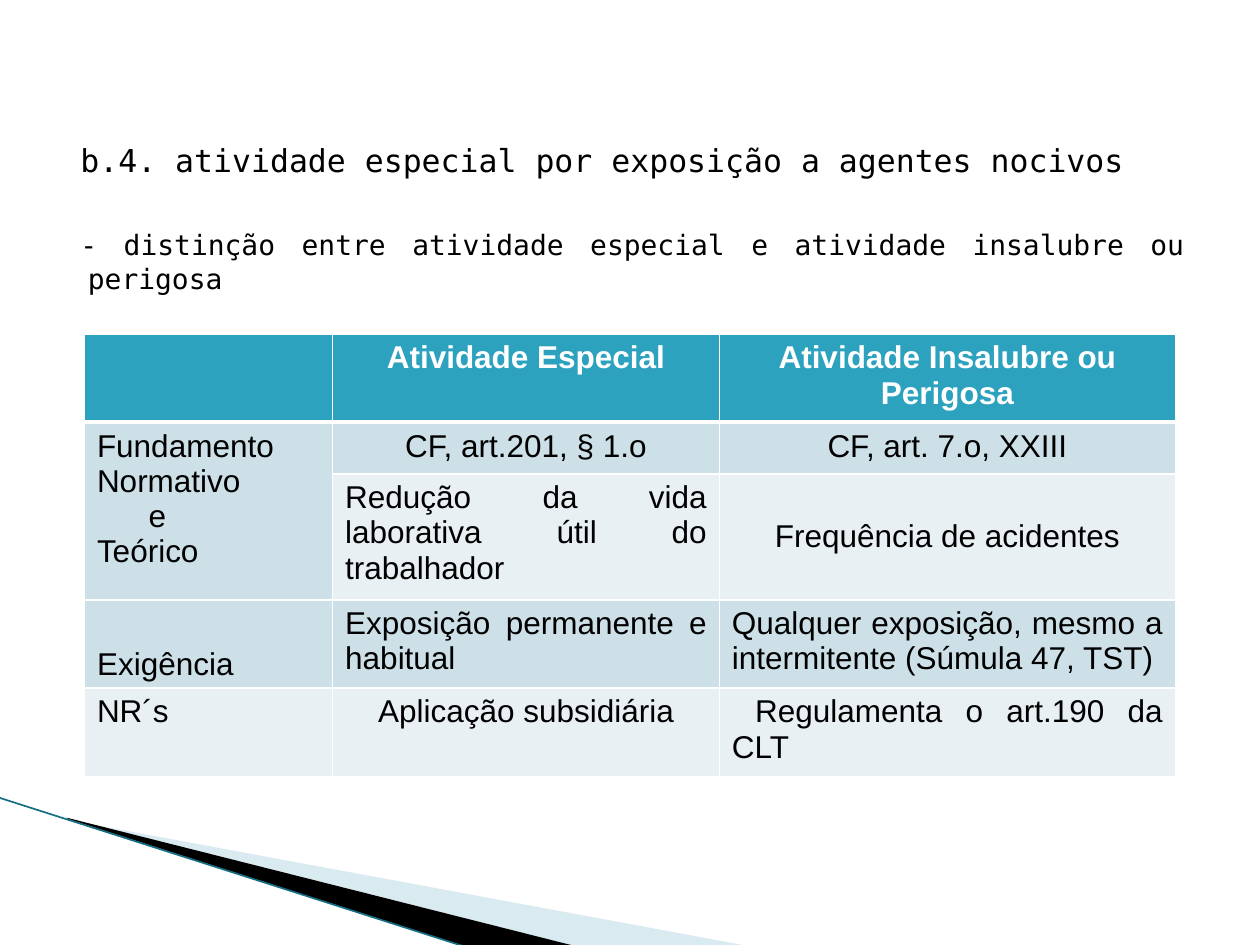
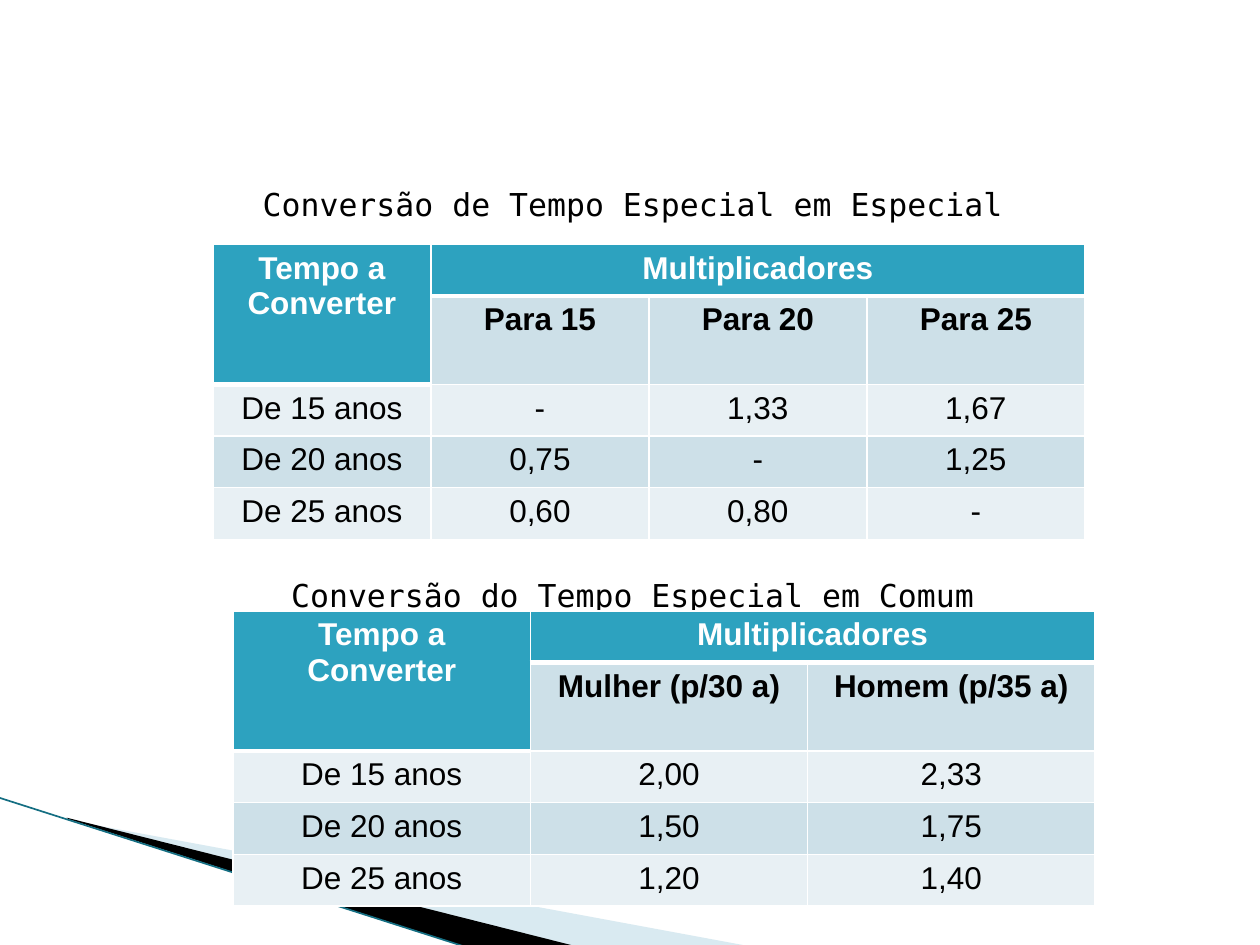
import lxml.etree
import pptx
import pptx.dml.color
import pptx.enum.shapes
import pptx.enum.text
import pptx.oxml.ns
import pptx.util

Inches = pptx.util.Inches
Pt = pptx.util.Pt
Align = pptx.enum.text.PP_ALIGN
Anchor = pptx.enum.text.MSO_ANCHOR
qn = pptx.oxml.ns.qn

COLORS = {
    "text": "000000",
    "white": "FFFFFF",
    "header": "2DA2BF",
    "band_dark": "CDE0E8",
    "band_light": "E8F0F4",
    "wedge_pale": "A0CBDC",
    "wedge_black": "000000",
    "edge": "146E82",
}
HEADING_FONT = "DejaVu Sans Mono"
TABLE_FONT = "Arial"
LINE_HEIGHT = 0.41
TALL_ROW = 0.66


def rgb(name):
    return pptx.dml.color.RGBColor.from_string(COLORS[name])


def style_runs(para, font, size, color, bold=False):
    for span in para.runs:
        span.font.name = font
        span.font.size = Pt(size)
        span.font.bold = bold
        span.font.color.rgb = rgb(color)


def add_wedge(page, points, color, opacity=100):
    builder = page.shapes.build_freeform(
        Inches(points[0][0]), Inches(points[0][1]))
    builder.add_line_segments([(Inches(x), Inches(y)) for x, y in points[1:]])
    wedge = builder.convert_to_shape()
    wedge.shadow.inherit = False
    wedge.line.fill.background()
    wedge.fill.solid()
    wedge.fill.fore_color.rgb = rgb(color)
    if opacity < 100:
        tint = wedge.fill._xPr.find(".//" + qn("a:srgbClr"))
        lxml.etree.SubElement(tint, qn("a:alpha"), val=str(opacity * 1000))


def add_corner_band(page):
    """Draw the wedges and edge line shared by every slide."""
    add_wedge(page, [(0.55, 6.51), (5.95, 7.51), (4.56, 7.51), (0.55, 6.5)],
              "wedge_pale", opacity=40)
    add_wedge(page, [(0.53, 6.49), (4.57, 7.51), (3.72, 7.52), (0.54, 6.5)],
              "wedge_black")
    edge = page.shapes.add_connector(
        pptx.enum.shapes.MSO_CONNECTOR.STRAIGHT,
        Inches(-0.01), Inches(6.33), Inches(3.71), Inches(7.52))
    edge.line.color.rgb = rgb("edge")
    edge.line.width = Pt(0.95)
    lxml.etree.SubElement(edge._element.spPr, qn("a:effectLst"))


def add_heading(page, top, lines, align):
    """Add one text box; lines holds (text, size, space before)."""
    box = page.shapes.add_textbox(
        Inches(0.5), Inches(top), Inches(9), Inches(0.43 * len(lines)))
    frame = box.text_frame
    frame.word_wrap = True
    frame.text = "\n".join(text for text, _, _ in lines)
    for para, (_, size, space) in zip(frame.paragraphs, lines):
        para.alignment = align
        para.space_before = Pt(space)
        set_indent(para, 0.1, -0.06)
        style_runs(para, HEADING_FONT, size, "text")


def set_indent(para, margin, first_line=0):
    properties = para._p.get_or_add_pPr()
    properties.set("marL", str(Inches(margin)))
    properties.set("indent", str(Inches(first_line)))


def set_borders(cell, top, bottom):
    properties = cell._tc.get_or_add_tcPr()
    widths = {"L": 1, "R": 1, "T": top, "B": bottom}
    for position, (side, width) in enumerate(widths.items()):
        border = lxml.etree.Element(qn("a:ln" + side), w=str(Pt(width)))
        fill = lxml.etree.SubElement(border, qn("a:solidFill"))
        lxml.etree.SubElement(fill, qn("a:srgbClr"), val=COLORS["white"])
        properties.insert(position, border)


def add_table(page, left, top, widths, heights, rows, merges, bold_rows=1):
    """Add a banded table; a first column merged from row 0 is all header."""
    table = page.shapes.add_table(
        len(rows), len(widths), Inches(left), Inches(top),
        Inches(sum(widths)), Inches(sum(heights))).table
    table.first_row = table.horz_banding = False
    for column, width in zip(table.columns, widths):
        column.width = Inches(width)
    for row, height in zip(table.rows, heights):
        row.height = Inches(height)

    label_rows = 1 + max(
        (end[0] for start, end in merges if start == (0, 0)), default=0)
    for r, texts in enumerate(rows):
        for c, text in enumerate(texts):
            header_rows = label_rows if c == 0 else 1
            is_header = r < header_rows
            cell = table.cell(r, c)
            cell.text = text
            cell.fill.solid()
            band = "band_dark" if r % 2 else "band_light"
            cell.fill.fore_color.rgb = rgb("header" if is_header else band)
            set_borders(cell, top=3 if r == header_rows else 1,
                        bottom=3 if r == header_rows - 1 else 1)
            for para in cell.text_frame.paragraphs:
                para.alignment = Align.CENTER
                style_runs(para, TABLE_FONT, 18,
                           "white" if is_header else "text", r < bold_rows)
    for start, end in merges:
        table.cell(*start).merge(table.cell(*end))
    return table


def add_multiplier_table(page, left, top, widths, targets, factors):
    gaps = [""] * (len(targets) - 1)
    rows = [["Tempo a Converter", "Multiplicadores"] + gaps, [""] + targets]
    rows += [[f"De {years} anos"] + values for years, values in factors.items()]
    heights = [LINE_HEIGHT, TALL_ROW] + [LINE_HEIGHT] * len(factors)
    merges = [((0, 0), (1, 0)), ((0, 1), (0, len(targets)))]
    add_table(page, left, top, widths, heights, rows, merges, bold_rows=2)


def build_distinction_slide(page):
    add_heading(page, 1.07, [
        ("b.4. atividade especial por exposição a agentes nocivos", 18, 3.2),
        ("- distinção entre atividade especial e atividade insalubre ou perigosa",
         16, 28),
    ], Align.JUSTIFY)
    rows = [
        ["", "Atividade Especial", "Atividade Insalubre ou Perigosa"],
        ["Fundamento Normativo\ne\nTeórico", "CF, art.201, § 1.o",
         "CF, art. 7.o, XXIII"],
        ["", "Redução da vida laborativa útil do trabalhador",
         "Frequência de acidentes"],
        ["Exigência", "Exposição permanente e habitual",
         "Qualquer exposição, mesmo a intermitente (Súmula 47, TST)"],
        ["NR´s", "Aplicação subsidiária", " Regulamenta o art.190 da CLT"],
    ]
    table = add_table(page, 0.67, 2.65, [1.97, 3.07, 3.62],
                      [TALL_ROW, LINE_HEIGHT, 0.94, TALL_ROW, TALL_ROW],
                      rows, [((1, 0), (2, 0))])
    justified = [(1, 0), (2, 1), (3, 0), (3, 1), (3, 2), (4, 0), (4, 2)]
    for position in justified:
        for para in table.cell(*position).text_frame.paragraphs:
            para.alignment = Align.JUSTIFY
    set_indent(table.cell(1, 0).text_frame.paragraphs[1], 0.41)
    table.cell(2, 2).vertical_anchor = Anchor.MIDDLE
    table.cell(3, 0).vertical_anchor = Anchor.BOTTOM


def build_conversion_slide(page):
    for top, title in [(1.42, "Conversão de Tempo Especial em Especial"),
                       (4.52, "Conversão do Tempo Especial em Comum")]:
        add_heading(page, top, [(title, 18, 3.2)], Align.CENTER)
    add_multiplier_table(
        page, 1.85, 4.85, [2.36, 2.2, 2.28],
        ["Mulher (p/30 a)", "Homem (p/35 a)"],
        {15: ["2,00", "2,33"], 20: ["1,50", "1,75"], 25: ["1,20", "1,40"]})
    add_multiplier_table(
        page, 1.69, 1.94, [1.73] * 4,
        ["Para 15", "Para 20", "Para 25"],
        {15: ["-", "1,33", "1,67"], 20: ["0,75", "-", "1,25"],
         25: ["0,60", "0,80", "-"]})


def main():
    deck = pptx.Presentation()
    deck.slide_width = Inches(10)
    deck.slide_height = Inches(7.5)
    for build in (build_distinction_slide, build_conversion_slide):
        page = deck.slides.add_slide(deck.slide_layouts[6])
        add_corner_band(page)
        build(page)
    deck.save("out.pptx")


if __name__ == "__main__":
    main()
